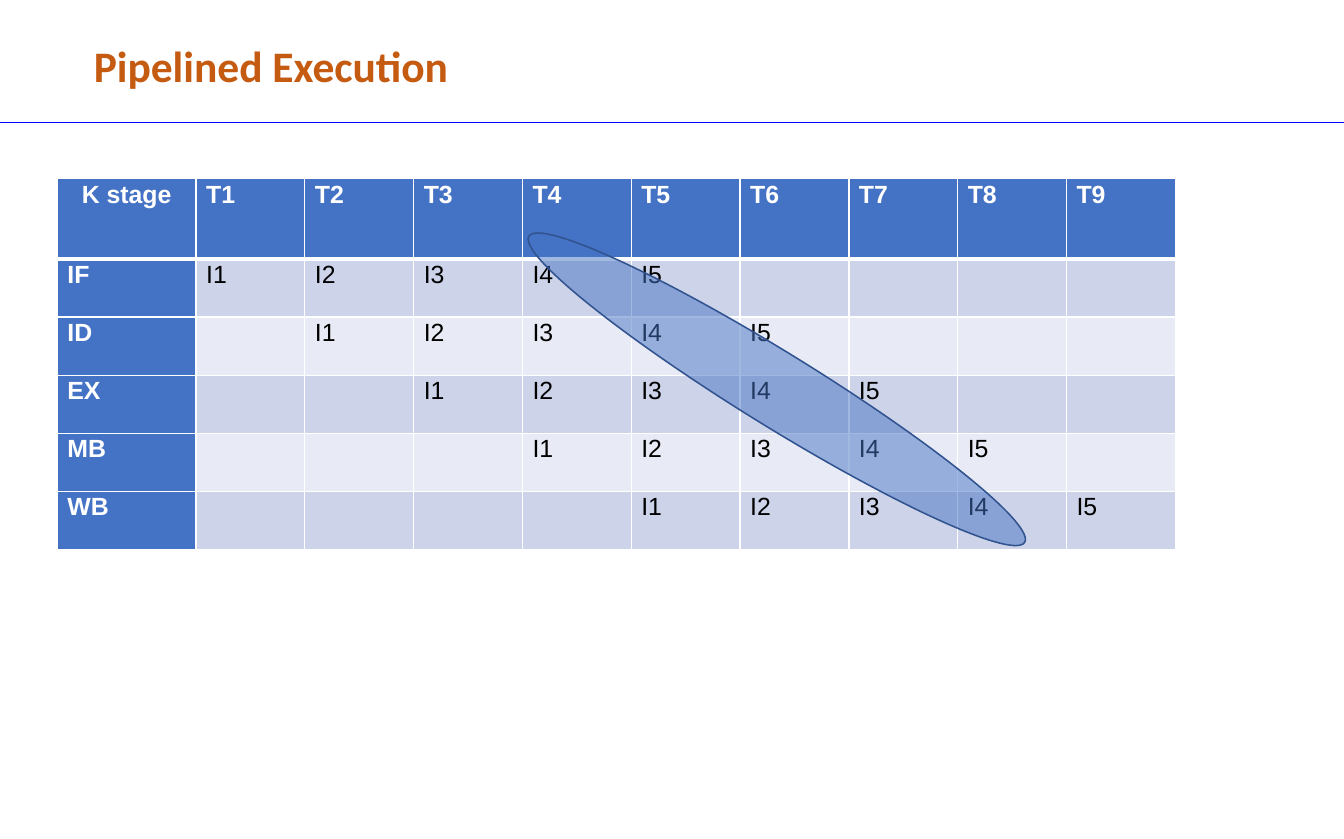
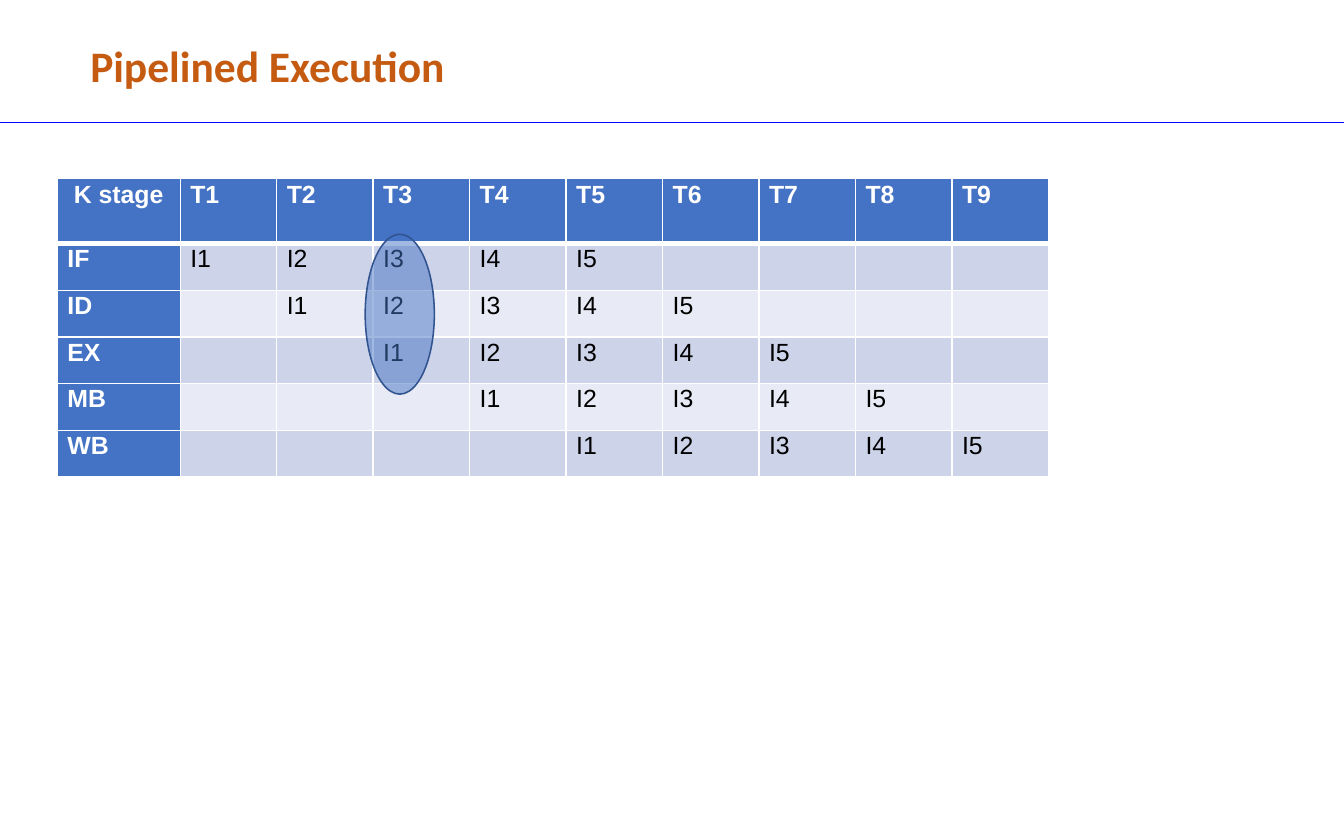
from lxml import etree
from pptx import Presentation
from pptx.dml.color import RGBColor
from pptx.enum.shapes import MSO_CONNECTOR, MSO_SHAPE
from pptx.enum.text import MSO_AUTO_SIZE, PP_ALIGN
from pptx.oxml import parse_xml
from pptx.oxml.ns import nsdecls, qn
from pptx.util import Cm, Pt

STRAIGHT = MSO_CONNECTOR.STRAIGHT
OVAL = MSO_SHAPE.OVAL
CENTER = PP_ALIGN.CENTER
GROW = MSO_AUTO_SIZE.SHAPE_TO_FIT_TEXT

WIDTH, HEIGHT = 30.51, 19.05
COLORS = {
    "title": "C55A11", "rule": "0000FF", "head": "4472C4", "odd": "CDD4EA",
    "even": "E8EBF5", "edge": "31538F", "white": "FFFFFF", "black": "000000",
}
FONTS = {
    "title": {"name": "Calibri", "size": Pt(28), "bold": True},
    "head": {"name": "Arial", "size": Pt(16), "bold": True},
    "body": {"name": "Arial", "size": Pt(16), "bold": False},
}
INSETS = {"margin_left": Cm(0.23), "margin_right": Cm(0.23),
          "margin_top": 0, "margin_bottom": 0}
STAGES = ["IF", "ID", "EX", "MB", "WB"]
TICKS, TASKS = 9, 5


def color(name):
    return RGBColor.from_string(COLORS[name])


def apply(target, values):
    for key, value in values.items():
        setattr(target, key, value)


def grid():
    """Instruction n enters stage s at tick n + s."""
    rows = [["K stage"] + [f"T{t}" for t in range(1, TICKS + 1)]]
    for step, stage in enumerate(STAGES):
        tasks = [t - step for t in range(1, TICKS + 1)]
        rows.append([stage] + [f"I{n}" if 1 <= n <= TASKS else "" for n in tasks])
    return rows


class Deck:
    def __init__(self):
        self.prs = Presentation()
        apply(self.prs, {"slide_width": Cm(WIDTH), "slide_height": Cm(HEIGHT)})
        self.slide = None

    def add(self):
        self.slide = self.prs.slides.add_slide(self.prs.slide_layouts[6])
        self.rule()

    def rule(self):
        line = self.slide.shapes.add_connector(
            STRAIGHT, 0, Cm(2.79), Cm(WIDTH), Cm(2.79))
        line.line.color.rgb = color("rule")
        line.line.width = Pt(0.75)
        etree.SubElement(line._element.spPr, qn("a:effectLst"))

    def label(self, para, text, font, tint):
        run = para.add_run()
        run.text = text
        apply(run.font, FONTS[font])
        run.font.color.rgb = color(tint)

    def title(self, text, left):
        box = self.slide.shapes.add_textbox(Cm(left), Cm(0.76), Cm(10.39), Cm(1.45))
        apply(box.text_frame, {"word_wrap": True, "auto_size": GROW})
        self.label(box.text_frame.paragraphs[0], text, "title", "title")

    def border(self, cell, row):
        """White edges, thick between the head row and the body."""
        widths = {"L": 1, "R": 1, "T": 3 if row == 1 else 1, "B": 3 if row == 0 else 1}
        props = cell._tc.get_or_add_tcPr()
        for side, width in widths.items():
            props.append(parse_xml(
                f'<a:ln{side} {nsdecls("a")} w="{Pt(width)}"><a:solidFill>'
                f'<a:srgbClr val="{COLORS["white"]}"/></a:solidFill></a:ln{side}>'))

    def cell(self, cell, text, row, col):
        head = row == 0 or col == 0
        apply(cell, INSETS)
        self.border(cell, row)
        cell.fill.solid()
        cell.fill.fore_color.rgb = color("head" if head else "odd" if row % 2 else "even")
        para = cell.text_frame.paragraphs[0]
        para.line_spacing = 1.07
        if row == col == 0:
            para.alignment = CENTER
        if text:
            self.label(para, text, "head" if head else "body",
                       "white" if head else "black")

    def table(self, rows, first, rest, top, body):
        """Size the head column and row, then all the others alike."""
        widths = [first] + [rest] * TICKS
        heights = [top] + [body] * len(STAGES)
        table = self.slide.shapes.add_table(
            len(heights), len(widths), Cm(1.3), Cm(4.06),
            Cm(sum(widths)), Cm(sum(heights))).table
        for col, width in zip(table.columns, widths):
            col.width = Cm(width)
        for row, height in zip(table.rows, heights):
            row.height = Cm(height)
        for r, texts in enumerate(rows):
            for c, text in enumerate(texts):
                self.cell(table.cell(r, c), text, r, c)

    def ring(self, left, top, width, height, turn):
        """Half-clear oval that marks some cells."""
        oval = self.slide.shapes.add_shape(
            OVAL, Cm(left), Cm(top), Cm(width), Cm(height))
        oval.rotation = turn
        oval.shadow.inherit = False
        oval.fill.solid()
        oval.fill.fore_color.rgb = color("head")
        tint = oval._element.spPr.find(f'{qn("a:solidFill")}/{qn("a:srgbClr")}')
        etree.SubElement(tint, qn("a:alpha")).set("val", "50000")
        oval.line.color.rgb = color("edge")
        oval.line.width = Pt(1)


def main():
    deck = Deck()
    pages = [
        (1.88, (3.15, 2.47, 1.82, 1.32), (11.02, 8, 13.23, 1.68, 31.7)),
        (1.8, (2.79, 2.19, 1.47, 1.06), (7.26, 6.35, 3.63, 1.57, 90)),
    ]
    for left, sizes, ring in pages:
        deck.add()
        deck.table(grid(), *sizes)
        deck.ring(*ring)
        deck.title("Pipelined Execution", left)
    deck.prs.save("out.pptx")


if __name__ == "__main__":
    main()
